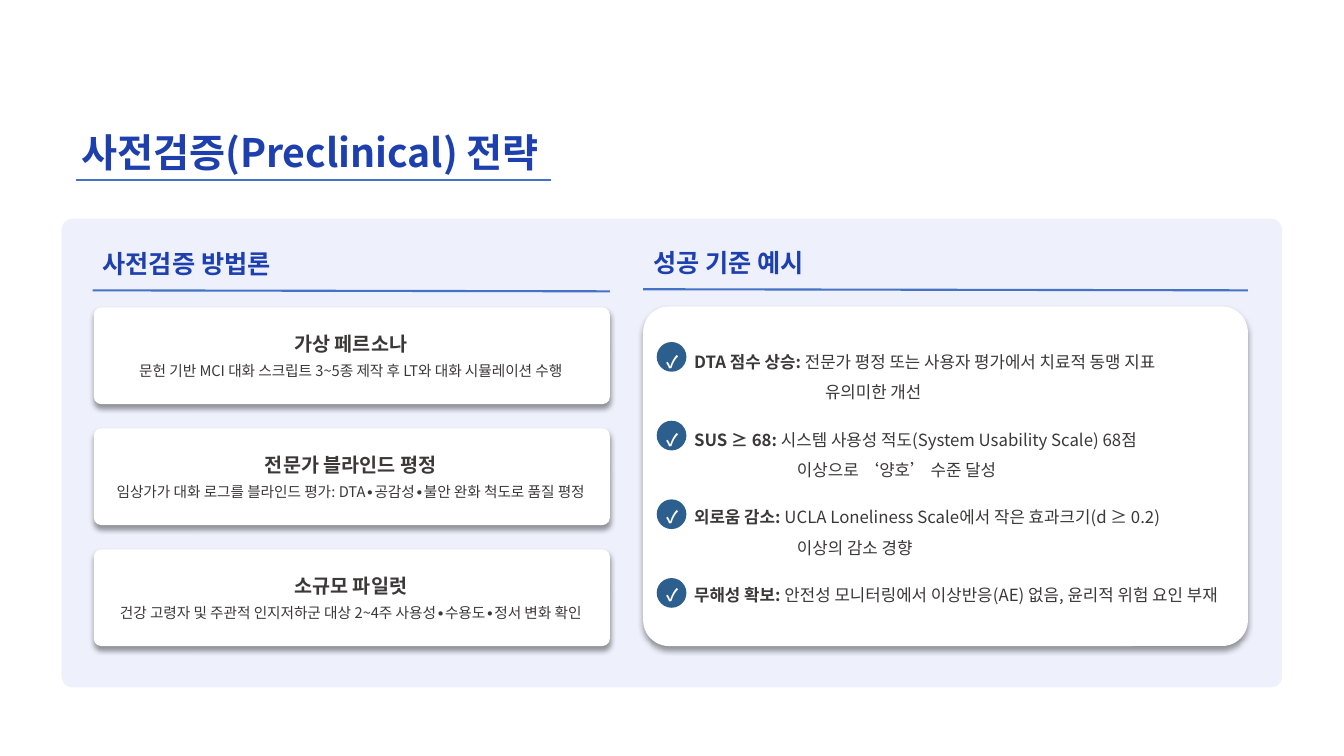
from lxml import etree
from pptx import Presentation
from pptx.dml.color import RGBColor
from pptx.enum.shapes import MSO_CONNECTOR as CONN, MSO_SHAPE as SHAPE
from pptx.enum.text import MSO_AUTO_SIZE as AUTO, PP_ALIGN as ALIGN
from pptx.oxml.ns import qn
from pptx.util import Pt

FONT = "Noto Sans CJK KR"
COLORS = {"title": "1E40AF", "rule": "4472C4", "panel": "EEF1FC", "card": "FFFFFF",
          "text": "3B3838", "check": "FFFFFF", "badge": "2C5F8D", "shadow": "000000"}
TITLE = "사전검증(Preclinical) 전략"
HEADINGS = [("사전검증 방법론", 66.2, 173.5), ("성공 기준 예시", 459.4, 172.8)]
RULES = [(54, 128.9, 393.8, 128.9), (459.4, 206.6, 891.4, 207.4), (66.2, 207.4, 435.6, 208.1)]
METHODS = [
    ("가상 페르소나", "문헌 기반 MCI 대화 스크립트 3~5종 제작 후 LT와 대화 시뮬레이션 수행"),
    ("전문가 블라인드 평정", "임상가가 대화 로그를 블라인드 평가: DTA∙공감성∙불안 완화 척도로 품질 평정"),
    ("소규모 파일럿", "건강 고령자 및 주관적 인지저하군 대상 2~4주 사용성∙수용도∙정서 변화 확인"),
]
CRITERIA = [
    ("DTA 점수 상승: ", "전문가 평정 또는 사용자 평가에서 치료적 동맹 지표", "유의미한 개선", 113.5),
    ("SUS ≥ 68: ", "시스템 사용성 적도(System Usability Scale) 68점", "이상으로 ‘양호’ 수준 달성", 93.5),
    ("외로움 감소: ", "UCLA Loneliness Scale에서 작은 효과크기(d ≥ 0.2)", "이상의 감소 경향", 93.5),
    ("무해성 확보: ", "안전성 모니터링에서 이상반응(AE) 없음, 윤리적 위험 요인 부재", None, 0),
]
CARD_X, CARD_Y, CARD_W, CARD_H, CARD_STEP = 67, 219.6, 368.6, 69.1, 86.4
CRITERIA_BOX = (459.4, 218.9, 432, 242.6)
BADGE_X, BADGE_Y, BADGE_SIZE, BADGE_STEP = 469.6, 244.8, 20.2, 56.2
CHECK_TAB = 20


def rgb(name):
    return RGBColor.from_string(COLORS[name])


def add_box(kind, box, fill, radius=None, line=None, shadow=False):
    s = slide.shapes.add_shape(kind, *map(Pt, box))
    s.shadow.inherit = False
    s.fill.solid()
    s.fill.fore_color.rgb = rgb(fill)
    if radius:
        s.adjustments[0] = radius
    if line:
        s.line.color.rgb = rgb(line)
        s.line.width = Pt(1)
    else:
        s.line.fill.background()
    if shadow:
        effects = s._element.spPr.find(qn("a:effectLst"))
        outer = etree.SubElement(effects, qn("a:outerShdw"), blurRad=str(Pt(4)),
                                 dist=str(Pt(3)), dir="5400000", algn="t", rotWithShape="0")
        color = etree.SubElement(outer, qn("a:srgbClr"), val=COLORS["shadow"])
        etree.SubElement(color, qn("a:alpha"), val="40000")


def add_rule(x1, y1, x2, y2):
    s = slide.shapes.add_connector(CONN.STRAIGHT, Pt(x1), Pt(y1), Pt(x2), Pt(y2))
    s.line.color.rgb = rgb("rule")
    s.line.width = Pt(1.5)
    etree.SubElement(s._element.spPr, qn("a:effectLst"))


def add_text(box, paragraphs):
    tf = slide.shapes.add_textbox(*map(Pt, box)).text_frame
    tf.word_wrap = True
    tf.auto_size = AUTO.SHAPE_TO_FIT_TEXT
    for i, (runs, layout) in enumerate(paragraphs):
        p = tf.add_paragraph() if i else tf.paragraphs[0]
        layout = dict(layout)
        pPr = p._p.get_or_add_pPr()
        indent = layout.pop("indent", 0)
        if indent:
            pPr.set("marL", str(Pt(indent)))
            pPr.set("indent", "0")
        tab = layout.pop("tab", 0)
        if tab:
            tabs = etree.SubElement(pPr, qn("a:tabLst"))
            etree.SubElement(tabs, qn("a:tab"), pos=str(Pt(tab)), algn="l")
        for key, value in layout.items():
            setattr(p, key, value)
        for text, size, color, bold in runs:
            r = p.add_run()
            r.text = text
            for key, value in {"size": Pt(size), "bold": bold, "name": FONT}.items():
                setattr(r.font, key, value)
            r.font.color.rgb = rgb(color)
            etree.SubElement(r._r.get_or_add_rPr(), qn("a:ea"), typeface=FONT)


prs = Presentation()
prs.slide_width, prs.slide_height = Pt(960), Pt(540)
slide = prs.slides.add_slide(prs.slide_layouts[6])

add_text((51.1, 87.8, 558.7, 41), [([(TITLE, 28, "title", True)], {})])
add_box(SHAPE.ROUNDED_RECTANGLE, (43.9, 156.2, 871.9, 334.8), "panel", radius=0.024)
for heading, x, y in HEADINGS:
    add_text((x, y, 291.6, 28.8), [([(heading, 18, "title", True)], {})])
for rule in RULES:
    add_rule(*rule)

for i, (name, detail) in enumerate(METHODS):
    y = CARD_Y + i * CARD_STEP
    add_box(SHAPE.ROUNDED_RECTANGLE, (CARD_X, y, CARD_W, CARD_H), "card", radius=0.076, shadow=True)
    add_text((CARD_X, y + 13.7, CARD_W - 1.4, 41.8), [
        ([(name, 14, "text", True)], {"alignment": ALIGN.CENTER}),
        ([(detail, 10.5, "text", False)], {"alignment": ALIGN.CENTER, "space_before": Pt(4.8)}),
    ])

add_box(SHAPE.ROUNDED_RECTANGLE, CRITERIA_BOX, "card", radius=0.076, shadow=True)
lines = []
for i, (label, detail, rest, indent) in enumerate(CRITERIA):
    add_box(SHAPE.OVAL, (BADGE_X, BADGE_Y + i * BADGE_STEP, BADGE_SIZE, BADGE_SIZE), "badge", line="badge")
    layout = {"line_spacing": 1.5, "tab": CHECK_TAB}
    if i:
        layout["space_before"] = Pt(12.3)
    lines.append(([("✓\t", 12, "check", True), (label, 12, "text", True),
                   (detail, 12, "text", False)], layout))
    if rest:
        lines.append(([(rest, 12, "text", False)], {"line_spacing": 1.5, "indent": indent}))
add_text((468.7, 240.5, 411.1, 195.8), lines)

prs.save("out.pptx")
